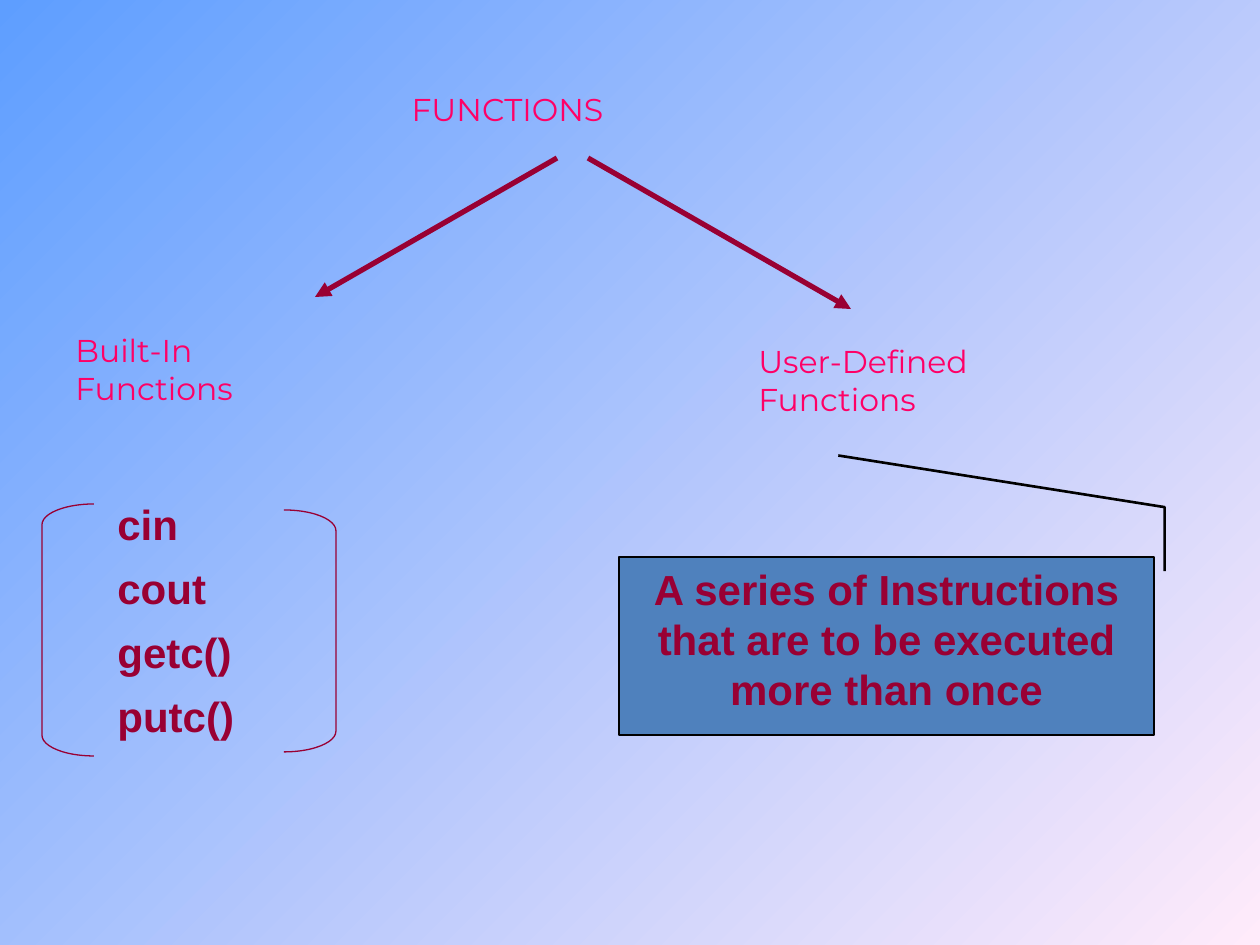
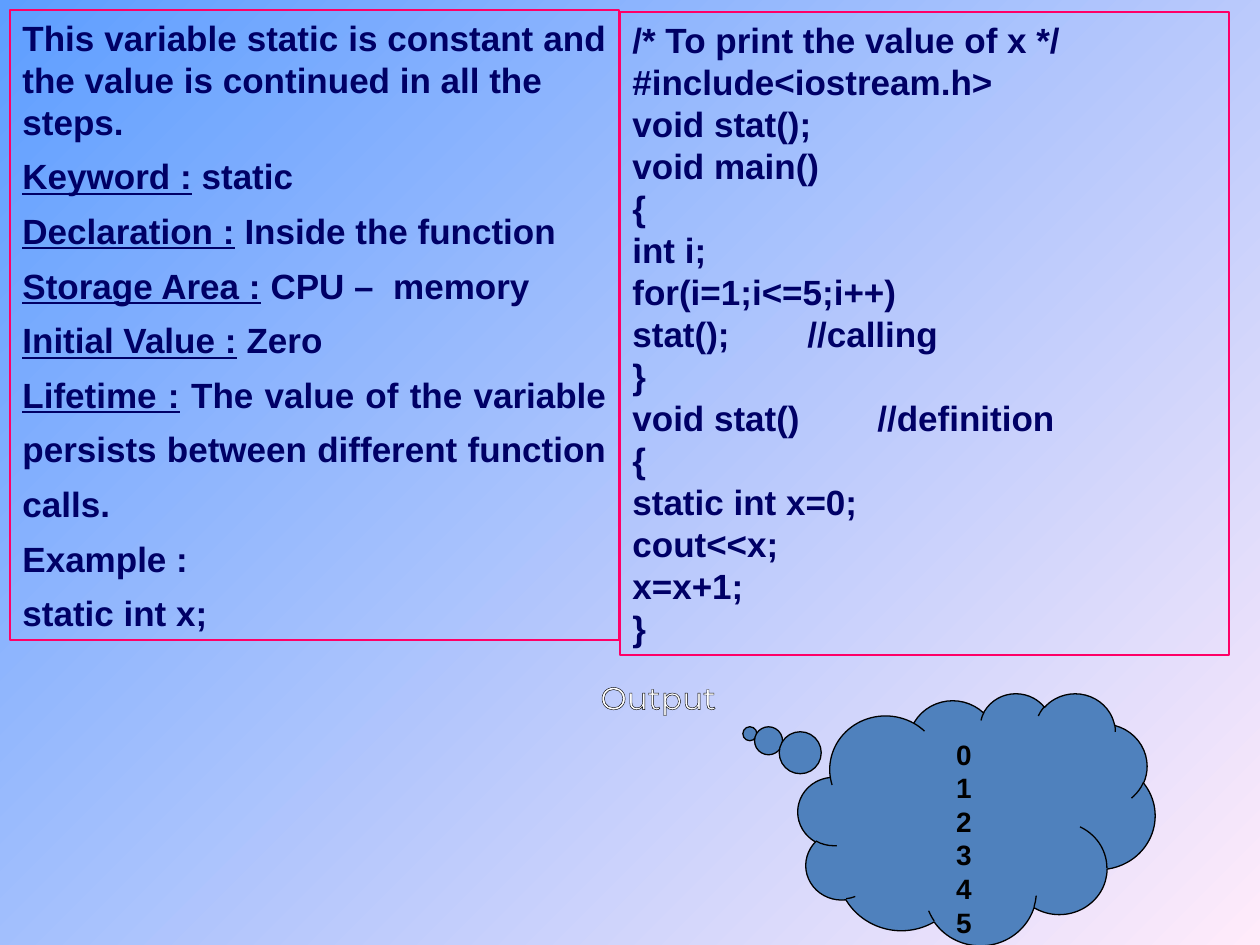
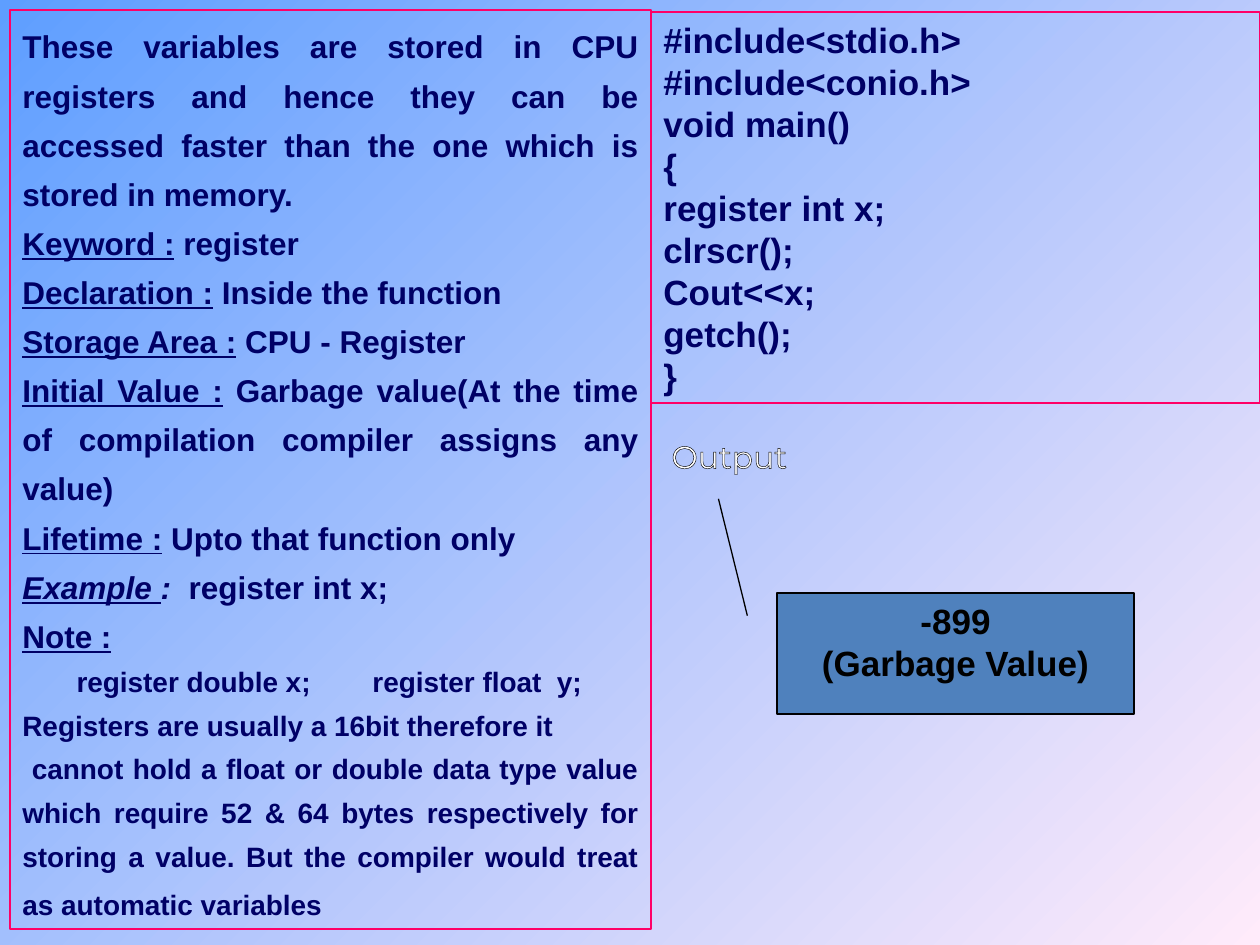
from dataclasses import dataclass, replace
from typing import NamedTuple, Optional

import pptx
import pptx.dml.color
import pptx.enum.shapes
import pptx.enum.text
import pptx.oxml
import pptx.oxml.ns
import pptx.util

RGBColor = pptx.dml.color.RGBColor
SHAPE = pptx.enum.shapes.MSO_SHAPE
ALIGN = pptx.enum.text.PP_ALIGN
AUTOSIZE = pptx.enum.text.MSO_AUTO_SIZE
NS = pptx.oxml.ns.nsdecls("a")

SKY = RGBColor(0x5E, 0x9E, 0xFF)
BLUSH = RGBColor(0xFF, 0xEB, 0xFA)
PINK = RGBColor(0xFF, 0x00, 0x66)
MAROON = RGBColor(0x99, 0x00, 0x33)
NAVY = RGBColor(0x00, 0x00, 0x66)
STEEL = RGBColor(0x4F, 0x81, 0xBD)
BLACK = RGBColor(0x00, 0x00, 0x00)
WHITE = RGBColor(0xFF, 0xFF, 0xFF)

PX = pptx.util.Inches(1) / 126
TITLE_ONLY, BLANK = 5, 6


class Box(NamedTuple):
    left: int
    top: int
    width: int
    height: int

    def emu(self) -> list[int]:
        return [round(v * PX) for v in self]


@dataclass(frozen=True)
class Style:
    size: int
    color: RGBColor
    font: str = "Arial"
    bold: bool = True
    align: ALIGN = ALIGN.LEFT
    spacing: Optional[float] = None
    before: int = 0
    outlined: bool = False


class Span(NamedTuple):
    text: str
    underline: bool = False
    italic: bool = False
    size: Optional[int] = None


class Para(NamedTuple):
    spans: list[Span]
    style: Style


class Callout(NamedTuple):
    preset: SHAPE
    box: Box
    adjustments: list[float]
    line_width: float
    lines: list[str]
    style: Style


HEADING = Style(18, PINK, "Montserrat", bold=False, outlined=True)
OUTPUT = replace(HEADING, color=WHITE)
BUILT_IN = Style(24, MAROON, spacing=0.75, before=15)
CODE = Style(20, NAVY)
INTRO = replace(CODE, align=ALIGN.JUSTIFY)
FACT = replace(INTRO, spacing=1.3)
SMALL_FACT = replace(FACT, size=18)
NOTE = replace(FACT, size=16)


def plain(lines: list[str], style: Style) -> list[Para]:
    return [Para([Span(line)], style) for line in lines]


def fact(label: str, value: str, style: Style) -> Para:
    return Para([Span(f"{label} :", underline=True), Span(f" {value}")], style)


def format_run(r, span: Span, style: Style) -> None:
    font = r.font
    font.name = style.font
    font.size = pptx.util.Pt(span.size or style.size)
    font.bold = style.bold
    font.italic = span.italic
    font.underline = span.underline
    font.color.rgb = style.color
    if style.outlined:
        r._r.get_or_add_rPr().insert(0, pptx.oxml.parse_xml(
            f'<a:ln {NS} w="9525"><a:solidFill><a:srgbClr val="{BLACK}"/></a:solidFill></a:ln>'))


def write(tf, paras: list[Para], wrap: bool = True,
          auto_size: AUTOSIZE = AUTOSIZE.NONE) -> None:
    tf.word_wrap = wrap
    tf.auto_size = auto_size
    tf.vertical_anchor = pptx.enum.text.MSO_ANCHOR.TOP
    tf.text = "\n".join(para.spans[0].text for para in paras)
    for i, (p, (spans, style)) in enumerate(zip(tf.paragraphs, paras)):
        p.alignment = style.align
        if style.spacing:
            p.line_spacing = style.spacing
        if style.before and i:
            p.space_before = pptx.util.Pt(style.before)
        for span in spans[1:]:
            p.add_run().text = span.text
        for r, span in zip(p.runs, spans):
            format_run(r, span, style)


def add_text(s, box: Box, lines: list[str], style: Style, wrap: bool = False) -> None:
    sp = s.shapes.add_textbox(*box.emu())
    write(sp.text_frame, plain(lines, style), wrap)


def add_outline(s, preset: SHAPE, box: Box, color: RGBColor, width: float = 0.75):
    """Add an unfilled preset shape with a coloured line."""
    sp = s.shapes.add_shape(preset, *box.emu())
    sp.shadow.inherit = False
    sp.fill.background()
    sp.line.color.rgb = color
    sp.line.width = pptx.util.Pt(width)
    return sp


def set_adjustments(sp, values: list[float]) -> None:
    for i, value in enumerate(values):
        sp.adjustments[i] = value


def add_panel(s, box: Box, paras: list[Para]) -> None:
    sp = add_outline(s, SHAPE.RECTANGLE, box, PINK)
    write(sp.text_frame, paras, auto_size=AUTOSIZE.SHAPE_TO_FIT_TEXT)


def add_callout(s, callout: Callout) -> None:
    sp = add_outline(s, callout.preset, callout.box, BLACK, callout.line_width)
    sp.fill.solid()
    sp.fill.fore_color.rgb = STEEL
    set_adjustments(sp, callout.adjustments)
    write(sp.text_frame, plain(callout.lines, replace(callout.style, align=ALIGN.CENTER)))


def add_arrow(s, x1: int, y1: int, x2: int, y2: int) -> None:
    ends = [round(v * PX) for v in (x1, y1, x2, y2)]
    c = s.shapes.add_connector(pptx.enum.shapes.MSO_CONNECTOR.STRAIGHT, *ends)
    c.line.color.rgb = MAROON
    c.line.width = pptx.util.Pt(3)
    c.line._get_or_add_ln().append(pptx.oxml.parse_xml(f'<a:tailEnd {NS} type="triangle"/>'))
    c._element.spPr.append(pptx.oxml.parse_xml(f"<a:effectLst {NS}/>"))


def set_background(master) -> None:
    fill = master.background.fill
    fill.gradient()
    fill.gradient_angle = 315
    for stop, color in zip(fill.gradient_stops, (SKY, BLUSH)):
        stop.color.rgb = color


def build_functions(prs) -> None:
    s = prs.slides.add_slide(prs.slide_layouts[TITLE_ONLY])
    title = s.shapes.title
    title.left, title.top, title.width, title.height = Box(399, 84, 417, 63).emu()
    write(title.text_frame, plain(["FUNCTIONS"], HEADING), wrap=False)
    add_text(s, Box(63, 325, 417, 116), ["Built-In", "Functions"], HEADING)
    add_text(s, Box(746, 336, 417, 116), ["User-Defined", "Functions"], HEADING)
    add_arrow(s, 557, 158, 315, 297)
    add_arrow(s, 588, 158, 851, 309)
    for preset, box in ((SHAPE.LEFT_BRACKET, Box(42, 504, 52, 252)),
                        (SHAPE.RIGHT_BRACKET, Box(284, 510, 52, 242))):
        set_adjustments(add_outline(s, preset, box, MAROON), [0.4])
    add_text(s, Box(105, 504, 357, 243), ["cin", "cout", "getc()", "putc()"],
             BUILT_IN, wrap=True)
    add_callout(s, Callout(
        SHAPE.LINE_CALLOUT_2, Box(619, 557, 535, 178),
        [0.08, 1.02, -0.28, 1.02, -0.57, 0.41], 1.5,
        ["A series of Instructions that are to be executed more than once"],
        Style(24, MAROON)))


def build_static(prs) -> None:
    s = prs.slides.add_slide(prs.slide_layouts[BLANK])
    add_panel(s, Box(10, 10, 609, 630), [
        *plain(["This variable static is constant and the value is continued in all the",
                "steps."], INTRO),
        fact("Keyword", "static", FACT),
        fact("Declaration", "Inside the function", FACT),
        fact("Storage Area", "CPU –  memory", FACT),
        fact("Initial Value", "Zero", FACT),
        fact("Lifetime", "The value of the variable persists between different "
             "function calls.", FACT),
        *plain(["Example :", "static int x;"], FACT),
    ])
    add_panel(s, Box(620, 12, 609, 643), plain([
        "/* To print the value of x */",
        "#include<iostream.h>",
        "void stat();",
        "void main()",
        "{",
        "int i;",
        "for(i=1;i<=5;i++)",
        "stat();        //calling",
        "}",
        "void stat()        //definition",
        "{",
        "static int x=0;",
        "cout<<x;",
        "x=x+1;",
        "}",
    ], CODE))
    add_callout(s, Callout(SHAPE.CLOUD_CALLOUT, Box(798, 693, 357, 252), [-0.635, -0.338],
                           0.75, [str(n) for n in range(6)], Style(16, BLACK)))
    add_text(s, Box(588, 672, 233, 63), ["Output"], OUTPUT)


def build_register(prs) -> None:
    s = prs.slides.add_slide(prs.slide_layouts[BLANK])
    add_panel(s, Box(10, 10, 641, 919), [
        *plain(["These variables are stored in CPU registers and hence they can be accessed "
                "faster than the one which is stored in memory."], SMALL_FACT),
        fact("Keyword", "register", SMALL_FACT),
        fact("Declaration", "Inside the function", SMALL_FACT),
        fact("Storage Area", "CPU - Register", SMALL_FACT),
        fact("Initial Value", "Garbage value(At the time of compilation compiler "
             "assigns any value)", SMALL_FACT),
        fact("Lifetime", "Upto that function only", SMALL_FACT),
        Para([Span("Example ", underline=True, italic=True), Span(":  ", italic=True),
              Span("register int x;")], SMALL_FACT),
        Para([Span("Note :", underline=True)], SMALL_FACT),
        *plain(["       register double x;        register float  y;",
                "Registers are usually a 16bit therefore it"], NOTE),
        Para([Span(" cannot hold a float or double data type value which require 52 & 64 "
                   "bytes respectively for storing a value. But the compiler would treat "
                   "as automatic variables"), Span(" ", size=18)], NOTE),
    ])
    add_panel(s, Box(651, 12, 609, 391), plain([
        "#include<stdio.h>",
        "#include<conio.h>",
        "void main()",
        "{",
        "register int x;",
        "clrscr();",
        "Cout<<x;",
        "getch();",
        "}",
    ], CODE))
    add_text(s, Box(659, 431, 233, 63), ["Output"], OUTPUT)
    add_callout(s, Callout(SHAPE.LINE_CALLOUT_1, Box(777, 593, 357, 121),
                           [0.188, -0.083, -0.779, -0.164], 0.75,
                           ["-899", "(Garbage Value)"], Style(20, BLACK)))


def main() -> None:
    prs = pptx.Presentation()
    prs.slide_width, prs.slide_height = round(1260 * PX), round(945 * PX)
    set_background(prs.slide_master)
    for build in (build_functions, build_static, build_register):
        build(prs)
    prs.save("out.pptx")


if __name__ == "__main__":
    main()
